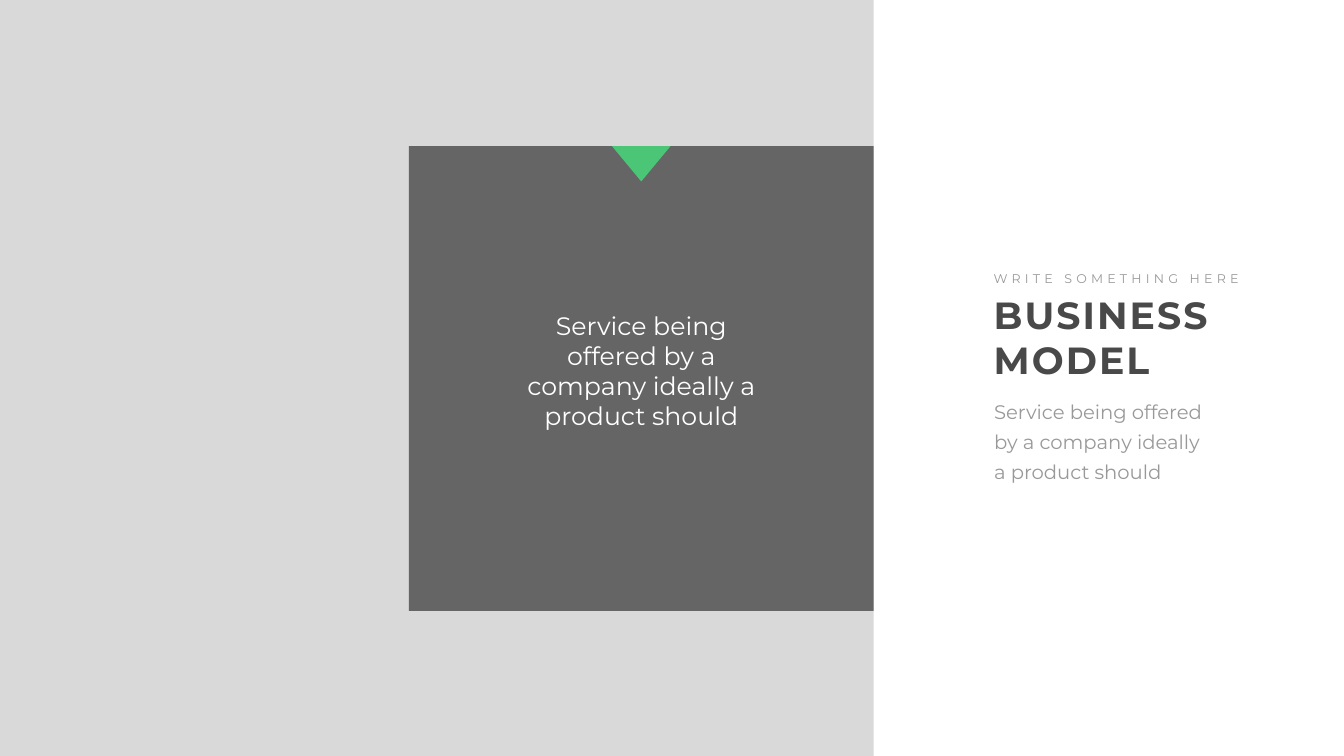
import pptx
import pptx.util
import pptx.dml.color
import pptx.enum.shapes
import pptx.enum.text
import pptx.oxml.ns
import lxml.etree

Inches = pptx.util.Inches
Pt = pptx.util.Pt
Kind = pptx.enum.shapes.MSO_SHAPE
Align = pptx.enum.text.PP_ALIGN

DARK, GREY, PALE = "494949", "999999", "D9D9D9"
GREEN, WHITE = "4BC676", "FFFFFF"
BLURB = "Service being offered by a company ideally a product should"


def write(box, text, size, color, bold=False, gap=0, lead=None,
          align=Align.LEFT, wrap=True, inset=(0.1, 0.05)):
    """Fill a box with one paragraph; gap is letter spacing in points."""
    frame = box.text_frame
    frame.word_wrap = wrap
    frame.auto_size = pptx.enum.text.MSO_AUTO_SIZE.NONE
    frame.vertical_anchor = pptx.enum.text.MSO_ANCHOR.TOP
    frame.margin_left = frame.margin_right = Inches(inset[0])
    frame.margin_top = frame.margin_bottom = Inches(inset[1])
    para = frame.paragraphs[0]
    para.alignment = align
    para.space_before = Pt(0)
    para.line_spacing = Pt(lead) if lead else 1.0
    run = para.add_run()
    run.text = text
    run.font.name = "Montserrat"
    run.font.size = Pt(size)
    run.font.bold = bold
    run.font.color.rgb = pptx.dml.color.RGBColor.from_string(color)
    if gap:
        run._r.get_or_add_rPr().set("spc", str(gap * 100))


def draw(kind, left, top, width, height, color):
    shape = slide.shapes.add_shape(
        kind, Inches(left), Inches(top), Inches(width), Inches(height))
    shape.shadow.inherit = False
    shape.fill.solid()
    shape.fill.fore_color.rgb = pptx.dml.color.RGBColor.from_string(color)
    shape.line.fill.background()
    return shape


deck = pptx.Presentation()
deck.slide_width, deck.slide_height = Inches(26.66), Inches(15)
slide = deck.slides.add_slide(deck.slide_layouts[5])

# Left panel with a translucent square flush to its right edge
edge, side, top = 17.33, 9.22, 2.9
mid = edge - side / 2
draw(Kind.RECTANGLE, 0, 0, edge, 15, PALE)
card = draw(Kind.RECTANGLE, edge - side, top, side, side, DARK)
fill = card.fill._xPr.find(".//" + pptx.oxml.ns.qn("a:srgbClr"))
lxml.etree.SubElement(fill, pptx.oxml.ns.qn("a:alpha"), val="80000")

# Heading block on the right
title = slide.shapes.title
title.left, title.top = Inches(19.61), Inches(5.74)
title.width, title.height = Inches(5.18), Inches(1.92)
write(title, "BUSINESS MODEL", 54, DARK, bold=True, gap=3)

label = slide.shapes.add_textbox(
    Inches(19.61), Inches(5.32), Inches(5.18), Inches(0.4))
write(label, "WRITE SOMETHING HERE", 18, GREY, gap=6, wrap=False)

intro = slide.shapes.add_textbox(
    Inches(19.48), Inches(7.69), Inches(4.85), Inches(2))
write(intro, BLURB, 28, GREY, lead=43, inset=(0.24, 0.12))

# Card text and the pointer at the top of the card
quote = slide.shapes.add_textbox(
    Inches(mid - 5.29 / 2), Inches(6.03), Inches(5.29), Inches(2.65))
write(quote, BLURB, 36, WHITE, lead=43, align=Align.CENTER,
      inset=(0.24, 0.12))
arrow = draw(Kind.ISOSCELES_TRIANGLE, mid - 0.58, top, 1.16, 0.7, GREEN)
arrow.rotation = 180

deck.save("out.pptx")
